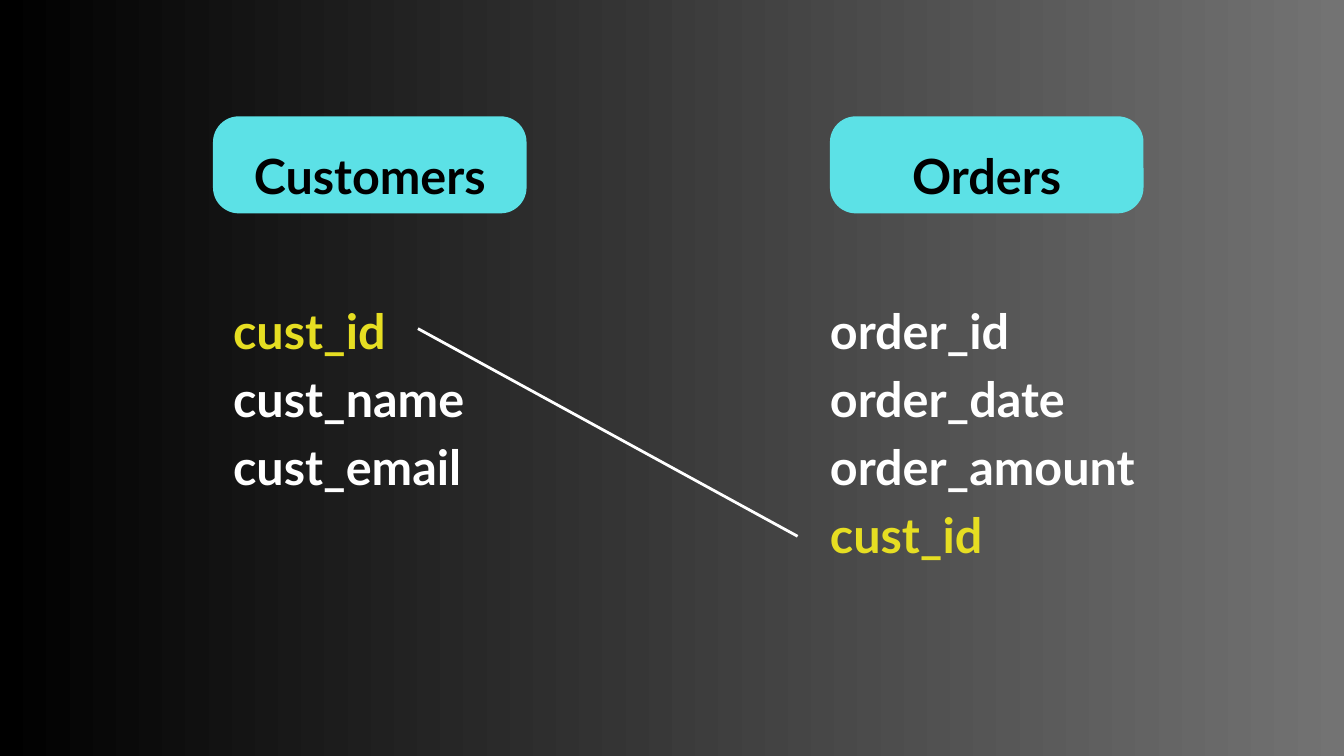
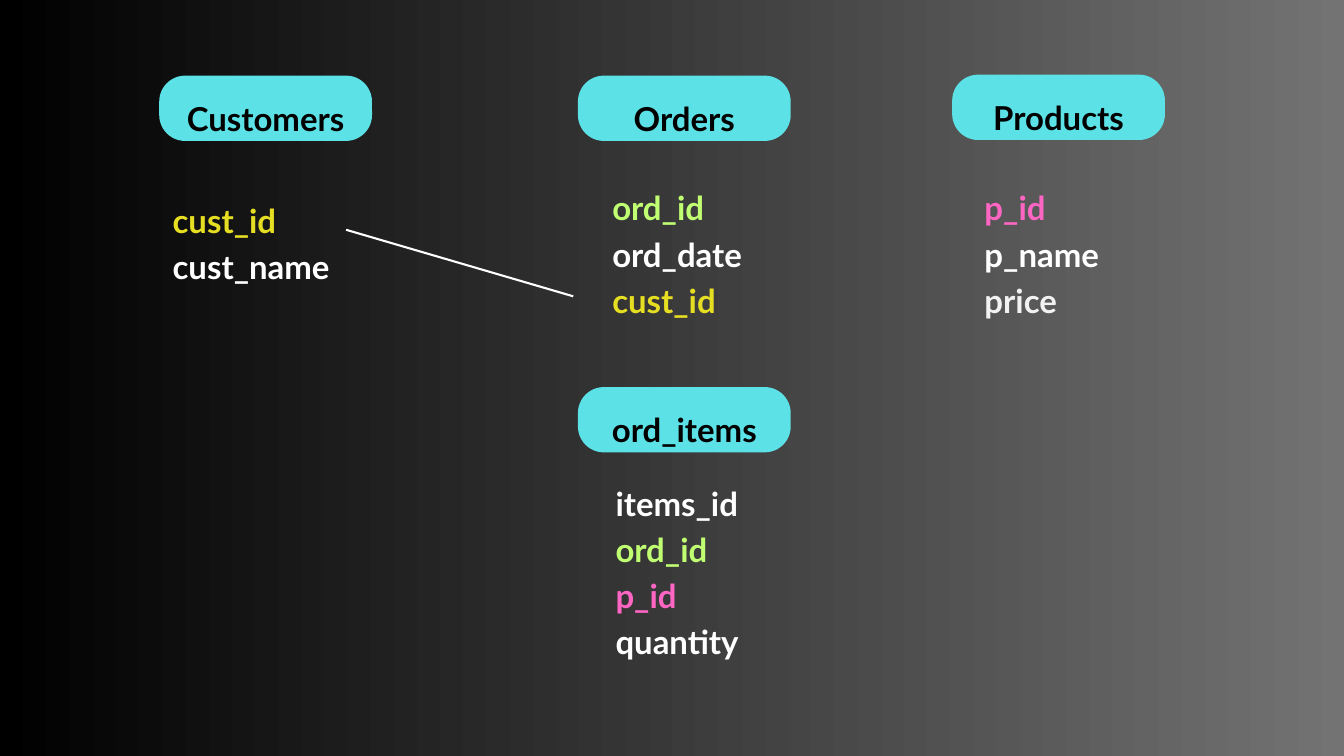
import pptx
import pptx.dml.color
import pptx.enum.shapes
import pptx.enum.text
import pptx.util
from lxml import etree

Pt = pptx.util.Pt
BLACK, GREY, WHITE, PALE = "000000", "737373", "FFFFFF", "F2F2F2"
CYAN, YELLOW, GREEN, PINK = "5CE1E6", "E6DE22", "C1FF72", "FF66C4"
CORNER_RADIUS = 27.7


def rgb(value):
    return pptx.dml.color.RGBColor.from_string(value)


def write_lines(shape, lines, size, spacing, alignment, top_inset=0):
    frame = shape.text_frame
    frame.word_wrap = True
    frame.vertical_anchor = pptx.enum.text.MSO_ANCHOR.TOP
    frame.margin_left = frame.margin_right = frame.margin_bottom = 0
    frame.margin_top = Pt(top_inset)
    for index, (text, color) in enumerate(lines):
        paragraph = frame.paragraphs[0] if index == 0 else frame.add_paragraph()
        paragraph.text = text
        paragraph.alignment = alignment
        paragraph.line_spacing = Pt(spacing)
        paragraph.font.name = "Lato"
        paragraph.font.size = Pt(size)
        paragraph.font.bold = True
        paragraph.font.color.rgb = rgb(color)


# Each entity: name, header left and top, column list left, top and width, columns
schemas = [
    {
        "size": 52, "spacing": 72.8, "header": (336, 104), "inset": 13,
        "entities": [
            ("Customers", (228.2, 124.6), (249.8, 312.5, 274),
             [("cust_id", YELLOW), ("cust_name", WHITE), ("cust_email", WHITE)]),
            ("Orders", (889.2, 124.6), (889.2, 312.5, 362),
             [("order_id", WHITE), ("order_date", WHITE),
              ("order_amount", WHITE), ("cust_id", YELLOW)]),
        ],
        "link": (447.8, 352.1, 854.6, 574.6), "link_width": 3,
    },
    {
        "size": 35.3, "spacing": 49.4, "header": (228, 70), "inset": 9,
        "entities": [
            ("Customers", (170.6, 81), (185, 208, 186),
             [("cust_id", YELLOW), ("cust_name", WHITE)]),
            ("Orders", (619.2, 81), (656, 194.4, 154),
             [("ord_id", GREEN), ("ord_date", WHITE), ("cust_id", YELLOW)]),
            ("Products", (1020.2, 80), (1054.8, 194.4, 135),
             [("p_id", PINK), ("p_name", WHITE), ("price", PALE)]),
            ("ord_items", (619.2, 414.7), (659.5, 511.2, 147),
             [("items_id", WHITE), ("ord_id", GREEN),
              ("p_id", PINK), ("quantity", WHITE)]),
        ],
        "link": (370.8, 246.2, 614.2, 317.5), "link_width": 2.25,
    },
]

presentation = pptx.Presentation()
presentation.slide_width = Pt(1440)
presentation.slide_height = Pt(810)

for schema in schemas:
    slide = presentation.slides.add_slide(presentation.slide_layouts[6])

    # Background gradient, left to right
    background = slide.background.fill
    background.gradient()
    background.gradient_angle = 0
    for stop, color, position in zip(background.gradient_stops, (BLACK, GREY), (0, 1)):
        stop.color.rgb = rgb(color)
        stop.position = position

    size, spacing = schema["size"], schema["spacing"]
    width, height = schema["header"]
    for name, (left, top), (list_left, list_top, list_width), columns in schema["entities"]:
        # Entity header
        header = slide.shapes.add_shape(
            pptx.enum.shapes.MSO_SHAPE.ROUNDED_RECTANGLE,
            Pt(left), Pt(top), Pt(width), Pt(height))
        header.adjustments[0] = CORNER_RADIUS / height
        header.shadow.inherit = False
        header.fill.solid()
        header.fill.fore_color.rgb = rgb(CYAN)
        header.line.fill.background()
        write_lines(header, [(name, BLACK)], size, spacing,
                    pptx.enum.text.PP_ALIGN.CENTER, schema["inset"])

        # Column names, keys in colour
        column_list = slide.shapes.add_textbox(
            Pt(list_left), Pt(list_top), Pt(list_width), Pt(spacing * len(columns)))
        write_lines(column_list, columns, size, spacing, pptx.enum.text.PP_ALIGN.LEFT)

    # Link between the matching customer keys
    link = slide.shapes.add_connector(
        pptx.enum.shapes.MSO_CONNECTOR.STRAIGHT, *[Pt(value) for value in schema["link"]])
    link.line.color.rgb = rgb(WHITE)
    link.line.width = Pt(schema["link_width"])
    etree.SubElement(link._element.spPr, pptx.oxml.ns.qn("a:effectLst"))

presentation.save("out.pptx")
